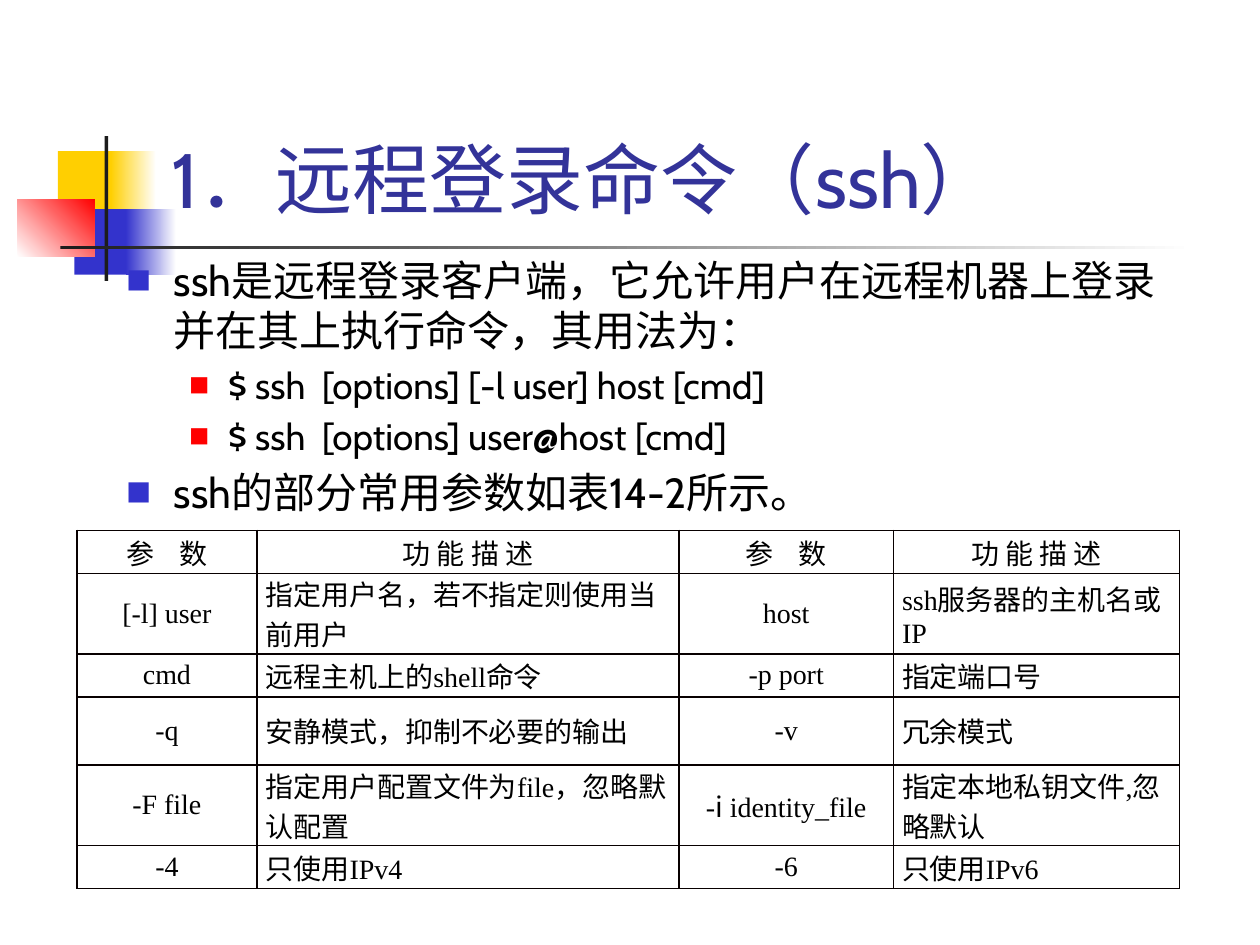
from lxml import etree
from pptx import Presentation
from pptx.dml.color import RGBColor
from pptx.enum.shapes import MSO_SHAPE
from pptx.enum.text import MSO_ANCHOR, MSO_AUTO_SIZE, PP_ALIGN
from pptx.oxml.ns import qn
from pptx.util import Inches, Pt

RECT = MSO_SHAPE.RECTANGLE
LEFT, CENTER = PP_ALIGN.LEFT, PP_ALIGN.CENTER
TOP, MIDDLE, BOTTOM = MSO_ANCHOR.TOP, MSO_ANCHOR.MIDDLE, MSO_ANCHOR.BOTTOM
FIXED = MSO_AUTO_SIZE.NONE

COLORS = {
    "gold": "FFCF01",
    "blue": "3333CC",
    "red": "FF0000",
    "dark": "1C1C1C",
    "white": "FFFFFF",
    "title": "333399",
    "text": "000000",
    "border": "080000",
}
SANS, HAN, SERIF = "Cabin", "Noto Sans CJK SC", "Times New Roman"

DECOR = [
    (0.32, 0.12, 0.48, 0.52, ("gold",), 0),
    (0.74, 0.12, 0.36, 0.52, ("gold", "white"), 0),
    (0.45, 0.58, 0.46, 0.52, ("blue",), 0),
    (0.86, 0.58, 0.4, 0.52, ("blue", "white"), 0),
    (0, 0.5, 0.61, 0.46, ("white", "red"), 45),
    (0.69, 0, 0.03, 1.15, ("dark",), 0),
    (0.34, 0.87, 9, 0.03, ("dark", "white"), 0),
]
LEVELS = [(24, 0.38, 0.38, "blue", 60), (21, 0.81, 0.31, "red", 55)]
POINTS = [
    (0, "ssh是远程登录客户端，它允许用户在远程机器上登录并在其上执行命令，其用法为："),
    (1, "$ ssh  [options] [-l user] host [cmd]"),
    (1, "$ ssh  [options] user@host [cmd]"),
    (0, "ssh的部分常用参数如表14-2所示。"),
]
COLS = [1.43, 3.35, 1.7, 2.27]
HEIGHTS = [0.34, 0.54, 0.34, 0.54, 0.54, 0.34]
ROWS = [
    ["参    数", "功 能 描 述"] * 2,
    ["[-l] user", "指定用户名，若不指定则使用当前用户", "host", "ssh|服务器的主机名或|IP"],
    ["cmd", "远程主机上的|shell|命令", "-p port", "指定端口号"],
    ["-q", "安静模式，抑制不必要的输出", "-v", "冗余模式"],
    ["-F file", "指定用户配置文件为|file|，忽略默认配置", "-|i| identity_file",
     "指定本地私钥文件|,|忽略默认"],
    ["-4", "只使用|IPv4", "-6", "只使用|IPv6"],
]


def rgb(name):
    return RGBColor.from_string(COLORS[name])


def add_run(para, text, size, face, color):
    run = para.add_run()
    run.text = text
    run.font.size = Pt(size)
    run.font.name = face
    run.font.color.rgb = rgb(color)
    east = etree.SubElement(run.font._element, qn("a:ea"))
    east.set("typeface", HAN)


def place(shape, box):
    shape.left, shape.top, shape.width, shape.height = map(Inches, box)


def add_decor(slide, left, top):
    tree = slide.shapes._spTree
    for spot, (x, y, w, h, tones, angle) in enumerate(DECOR, 2):
        shape = slide.shapes.add_shape(
            RECT, Inches(left + x), Inches(top + y), Inches(w), Inches(h))
        shape.shadow.inherit = False
        shape.line.fill.background()
        if len(tones) == 1:
            shape.fill.solid()
            shape.fill.fore_color.rgb = rgb(tones[0])
        else:
            shape.fill.gradient()
            shape.fill.gradient_angle = angle
            for pos, (stop, tone) in enumerate(zip(shape.fill.gradient_stops, tones)):
                stop.position = pos
                stop.color.rgb = rgb(tone)
        tree.remove(shape._element)
        tree.insert(spot, shape._element)


def add_title(slide, box):
    title = slide.shapes.title
    place(title, box)
    frame = title.text_frame
    frame.auto_size = FIXED
    frame.vertical_anchor = BOTTOM
    para = frame.paragraphs[0]
    para.alignment = LEFT
    add_run(para, "1．远程登录命令（ssh）", 44, SANS, "title")


def set_bullet(para, color, scale):
    props = para._p.get_or_add_pPr()
    tint = etree.SubElement(props, qn("a:buClr"))
    etree.SubElement(tint, qn("a:srgbClr")).set("val", COLORS[color])
    etree.SubElement(props, qn("a:buSzPct")).set("val", str(scale * 1000))
    etree.SubElement(props, qn("a:buFont")).set("typeface", HAN)
    etree.SubElement(props, qn("a:buChar")).set("char", "■")


def add_body(slide, box):
    body = slide.placeholders[1]
    place(body, box)
    frame = body.text_frame
    frame.auto_size = FIXED
    frame.vertical_anchor = TOP
    for num, (level, text) in enumerate(POINTS):
        para = frame.add_paragraph() if num else frame.paragraphs[0]
        size, margin, hang, color, scale = LEVELS[level]
        para.level = level
        para.alignment = LEFT
        para.space_before = Pt(size * 0.2)
        props = para._p.get_or_add_pPr()
        props.set("marL", str(Inches(margin)))
        props.set("indent", str(-Inches(hang)))
        set_bullet(para, color, scale)
        add_run(para, text, size, SANS, "text")


def set_border(cell):
    props = cell._tc.get_or_add_tcPr()
    for side in "LRTB":
        line = etree.SubElement(props, qn("a:ln" + side))
        line.set("w", str(Pt(1)))
        fill = etree.SubElement(line, qn("a:solidFill"))
        etree.SubElement(fill, qn("a:srgbClr")).set("val", COLORS["border"])


def fill_cell(cell, text, align):
    set_border(cell)
    cell.fill.background()
    cell.vertical_anchor = MIDDLE
    cell.margin_left = cell.margin_right = Inches(0.07)
    cell.margin_top = cell.margin_bottom = 0
    para = cell.text_frame.paragraphs[0]
    para.alignment = align
    for part in text.split("|"):
        face = SERIF if part.isascii() and part != "i" else HAN
        add_run(para, part, 16, face, "text")


def add_grid(slide, box):
    frame = slide.shapes.add_table(len(ROWS), len(COLS), *map(Inches, box))
    table = frame.table
    table.first_row = table.horz_banding = False
    for col, width in zip(table.columns, COLS):
        col.width = Inches(width)
    for row, height in zip(table.rows, HEIGHTS):
        row.height = Inches(height)
    for r, texts in enumerate(ROWS):
        for c, text in enumerate(texts):
            align = CENTER if r == 0 or c % 2 == 0 else LEFT
            fill_cell(table.cell(r, c), text, align)


def main():
    deck = Presentation()
    deck.slide_width, deck.slide_height = Inches(10), Inches(7.5)
    slide = deck.slides.add_slide(deck.slide_layouts[1])
    add_decor(slide, 0.14, 1.08)
    add_title(slide, (1.26, 0.23, 8.52, 1.6))
    add_body(slide, (0.9, 1.97, 8.5, 4.5))
    add_grid(slide, (0.61, 4.21, sum(COLS), sum(HEIGHTS)))
    deck.save("out.pptx")


if __name__ == "__main__":
    main()
